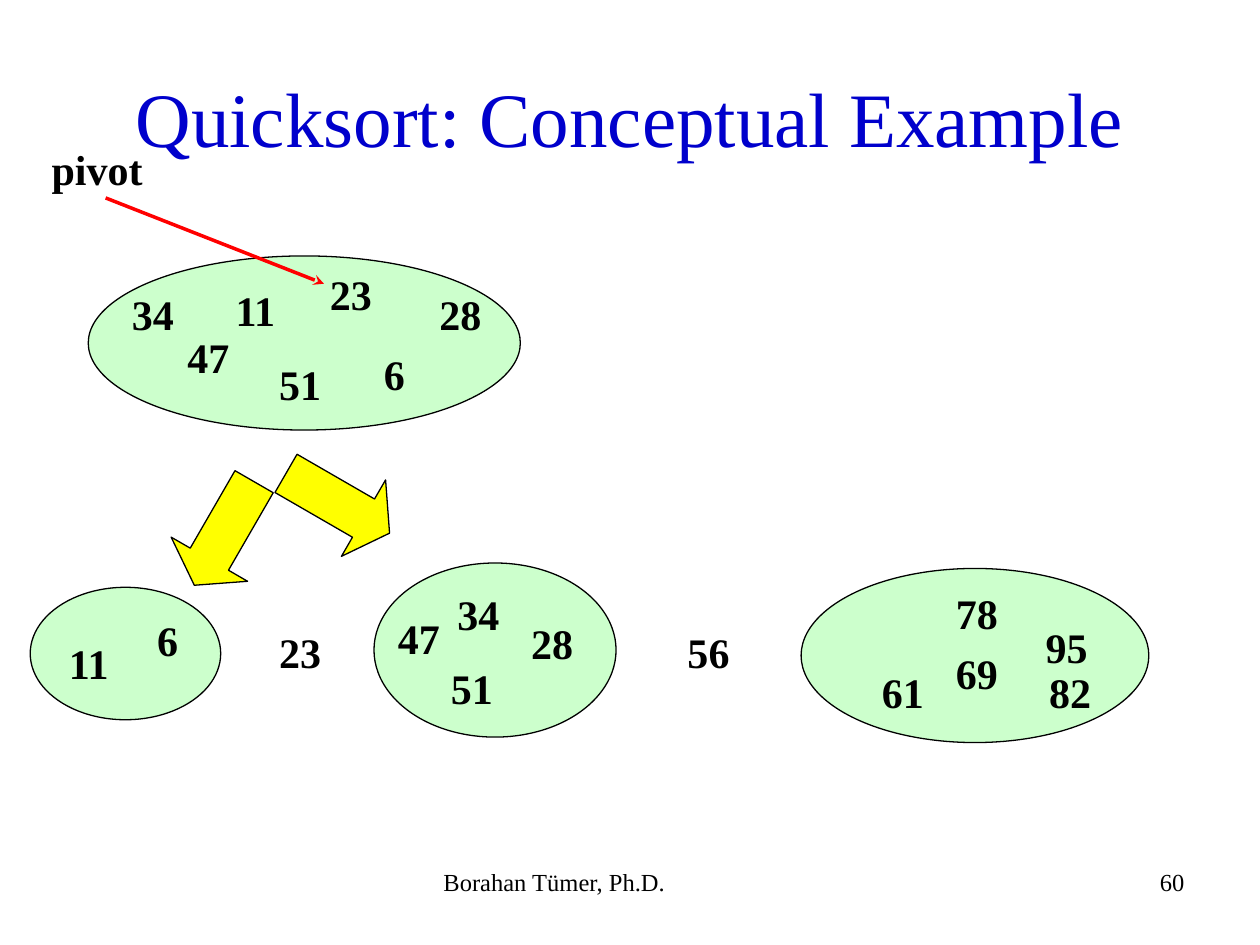
from lxml import etree
from pptx import Presentation
from pptx.dml.color import RGBColor
from pptx.enum.shapes import MSO_CONNECTOR, MSO_SHAPE
from pptx.enum.text import MSO_ANCHOR, MSO_AUTO_SIZE, PP_ALIGN
from pptx.oxml.ns import qn
from pptx.util import Cm, Pt

COLOURS = {"title": "0000CC", "ink": "000000", "set": "CCFFCC",
           "split": "FFFF00", "pointer": "FF0000"}
FONT = "Times New Roman"
TITLE_FORMAT = {"size": Pt(44), "name": FONT}
LABEL_FORMAT = {"size": Pt(24), "name": FONT, "bold": True}
FOOTER_FORMAT = {"size": Pt(14), "name": FONT}

SETS = [
    ((1.78, 5.16, 8.71, 3.51),
     [("34", 2.41, 5.69), ("47", 3.53, 6.55), ("11", 4.5, 5.61),
      ("23", 6.4, 5.28), ("51", 5.38, 7.11), ("6", 7.49, 6.91),
      ("28", 8.61, 5.69)]),
    ((0.61, 11.84, 3.84, 2.67),
     [("11", 1.14, 12.73), ("6", 2.92, 12.27)]),
    ((7.54, 11.35, 4.88, 3.51),
     [("34", 8.97, 11.73), ("47", 7.77, 12.22), ("51", 8.84, 13.23),
      ("28", 10.46, 12.32)]),
    ((16.15, 11.46, 7.01, 3.51),
     [("82", 20.9, 13.31), ("78", 19.02, 11.71), ("95", 20.83, 12.4),
      ("69", 19.02, 12.93), ("61", 17.53, 13.31)]),
]
PIVOTS = [("23", 5.38, 12.5), ("56", 13.61, 12.5)]
PIVOT_LABEL = ("pivot", 0.79, 2.77)
LABEL_WIDTHS = {1: 0.91, 2: 1.35, 5: 2.34}
LABEL_HEIGHT = 1.27
POINTER = (2.13, 3.99, 6.53, 5.72)
SPLIT_ARROWS = [(3.63, 9.55, 30), (5.92, 8.94, 300)]
ARROW_SIZE = (1.78, 2.41)
TITLE = ("Quicksort: Conceptual Example", (1.27, 0.76, 22.86, 3.18))
FOOTERS = [("Borahan Tümer, Ph.D.", (8.69, 17.35, 8.05, 1.32), PP_ALIGN.LEFT),
           ("60", (18.21, 17.35, 5.92, 1.32), PP_ALIGN.RIGHT)]


def colour(name):
    return RGBColor.from_string(COLOURS[name])


def add_text(page, text, place, formats, ink="ink", align=PP_ALIGN.LEFT,
             anchor=MSO_ANCHOR.TOP, wrap=True):
    box = page.shapes.add_textbox(*map(Cm, place))
    frame = box.text_frame
    frame.word_wrap = wrap
    frame.auto_size = MSO_AUTO_SIZE.NONE if wrap else MSO_AUTO_SIZE.SHAPE_TO_FIT_TEXT
    frame.vertical_anchor = anchor
    para = frame.paragraphs[0]
    para.alignment = align
    span = para.add_run()
    span.text = text
    for key, value in formats.items():
        setattr(span.font, key, value)
    span.font.color.rgb = colour(ink)


def add_label(page, text, left, top):
    place = (left, top, LABEL_WIDTHS[len(text)], LABEL_HEIGHT)
    add_text(page, text, place, LABEL_FORMAT, wrap=False)


def add_figure(page, kind, place, fill):
    shape = page.shapes.add_shape(kind, *map(Cm, place))
    shape.shadow.inherit = False
    shape.fill.solid()
    shape.fill.fore_color.rgb = colour(fill)
    shape.line.color.rgb = colour("ink")
    shape.line.width = Pt(0.75)
    return shape


def add_pointer(page, ends):
    pointer = page.shapes.add_connector(MSO_CONNECTOR.STRAIGHT, *map(Cm, ends))
    pointer.line.color.rgb = colour("pointer")
    pointer.line.width = Pt(2)
    etree.SubElement(pointer.line._get_or_add_ln(), qn("a:tailEnd"), type="stealth")
    etree.SubElement(pointer._element.spPr, qn("a:effectLst"))


def main():
    deck = Presentation()
    deck.slide_width, deck.slide_height = Cm(25.4), Cm(19.05)
    page = deck.slides.add_slide(deck.slide_layouts[6])

    add_text(page, *TITLE, TITLE_FORMAT, "title", PP_ALIGN.CENTER, MSO_ANCHOR.MIDDLE)
    for place, numbers in SETS:
        add_figure(page, MSO_SHAPE.OVAL, place, "set")
        for number in numbers:
            add_label(page, *number)
    for label in PIVOTS + [PIVOT_LABEL]:
        add_label(page, *label)
    for left, top, angle in SPLIT_ARROWS:
        arrow = add_figure(page, MSO_SHAPE.DOWN_ARROW, (left, top, *ARROW_SIZE), "split")
        arrow.adjustments[0], arrow.adjustments[1] = 0.5, 0.34
        arrow.rotation = angle
    add_pointer(page, POINTER)
    for text, place, align in FOOTERS:
        add_text(page, text, place, FOOTER_FORMAT, align=align)

    deck.save("out.pptx")


if __name__ == "__main__":
    main()
